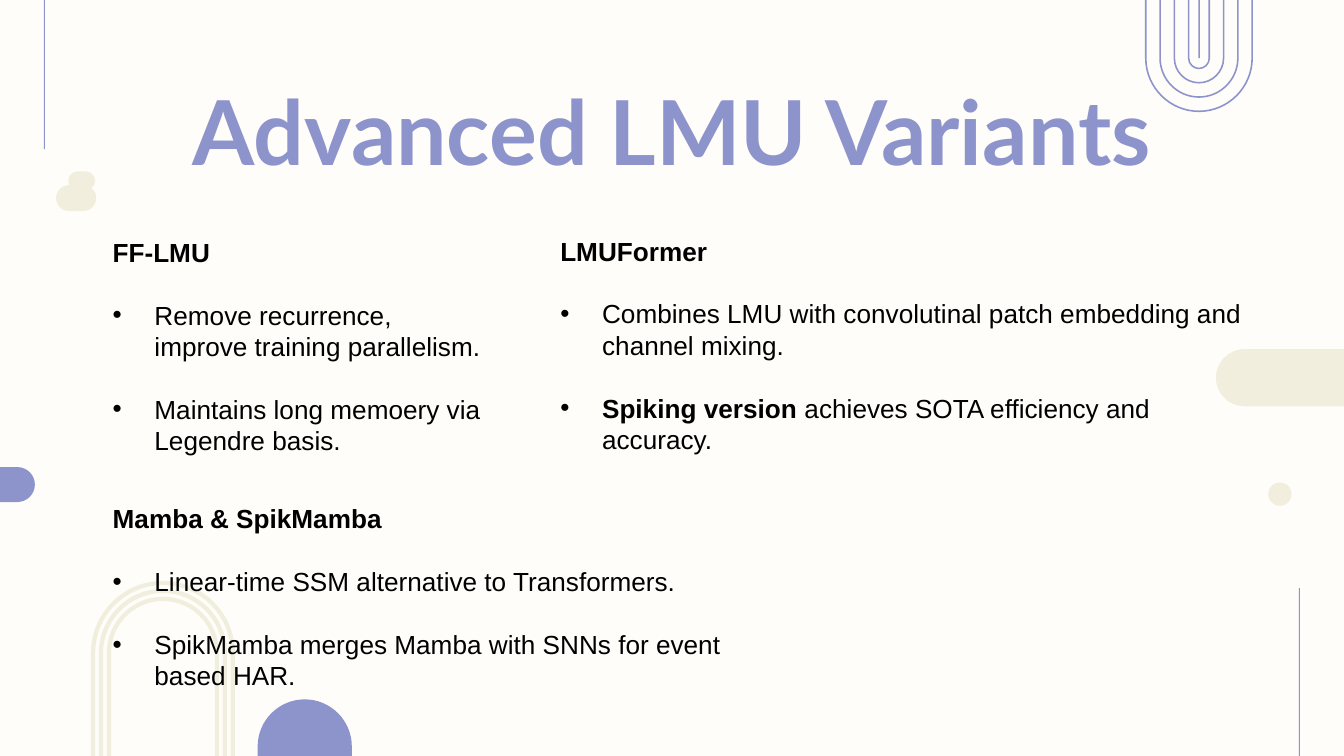
from dataclasses import dataclass
from math import cos, radians, sin

from lxml.etree import SubElement
from pptx import Presentation
from pptx.dml.color import RGBColor
from pptx.enum.shapes import MSO_SHAPE
from pptx.enum.text import MSO_ANCHOR, PP_ALIGN
from pptx.oxml.ns import qn
from pptx.util import Cm, Pt

BACKGROUND, PURPLE, BEIGE, BLACK = "FFFDF9", "8D94CC", "F1EEDD", "000000"
CIRCLE_HANDLE = 0.55  # Bezier handle length of a quarter circle
CURVE_STARTS = (1, 4, 10, 13)  # segments of an arch outline that begin a curve


@dataclass
class Arch:
    """A half circle with straight legs, solid when it has no inner radius."""
    x: float
    y: float
    radius: float
    leg: float
    color: str
    inner: float = 0
    turn: float = 0  # clockwise degrees, 0 points up


@dataclass
class Preset:
    kind: MSO_SHAPE
    left: float
    top: float
    width: float
    height: float
    color: str


@dataclass
class Topic:
    left: float
    top: float
    width: float
    height: float
    heading: str
    bullets: list[list[tuple[str, bool]]]  # runs of text and bold


def color_of(value: str) -> RGBColor:
    return RGBColor.from_string(value)


def paint(shape, color: str) -> None:
    shape.shadow.inherit = False
    shape.fill.solid()
    shape.fill.fore_color.rgb = color_of(color)
    shape.line.fill.background()


def half_outline(radius: float, leg: float) -> list[tuple[float, float]]:
    handle = CIRCLE_HANDLE * radius
    left = [(-radius, leg), (-radius, 0), (-radius, -handle), (-handle, -radius)]
    right = [(-x, y) for x, y in reversed(left)]
    return [*left, (0, -radius), *right]


def bend_segments(shape) -> None:
    """Join each three line segments of a quarter circle into one curve."""
    segments = list(shape._element.iter(qn("a:lnTo")))
    for start in CURVE_STARTS:
        if start + 2 < len(segments):
            curve = segments[start].makeelement(qn("a:cubicBezTo"))
            segments[start].addprevious(curve)
            for segment in segments[start:start + 3]:
                curve.append(segment[0])
                segment.getparent().remove(segment)


def draw_arch(slide, arch: Arch) -> None:
    outline = half_outline(arch.radius, arch.leg)
    if arch.inner:
        outline += reversed(half_outline(arch.inner, arch.leg))
    turn = radians(arch.turn)
    points = [(Cm(arch.x + x * cos(turn) - y * sin(turn)),
               Cm(arch.y + x * sin(turn) + y * cos(turn))) for x, y in outline]
    builder = slide.shapes.build_freeform(*points[0])
    builder.add_line_segments(points[1:], close=True)
    shape = builder.convert_to_shape()
    bend_segments(shape)
    paint(shape, arch.color)


def draw_preset(slide, preset: Preset) -> None:
    shape = slide.shapes.add_shape(preset.kind, Cm(preset.left), Cm(preset.top),
                                   Cm(preset.width), Cm(preset.height))
    if preset.kind == MSO_SHAPE.ROUNDED_RECTANGLE:
        shape.adjustments[0] = 0.5
    paint(shape, preset.color)


def add_text_frame(slide, left: float, top: float, width: float, height: float):
    box = slide.shapes.add_textbox(Cm(left), Cm(top), Cm(width), Cm(height))
    box.text_frame.word_wrap = True
    return box.text_frame


def add_bullet(paragraph) -> None:
    properties = paragraph._p.get_or_add_pPr()
    properties.set("marL", str(Cm(0.79)))
    properties.set("indent", str(-Cm(0.79)))
    SubElement(properties, qn("a:buFont"), typeface="Arial")
    SubElement(properties, qn("a:buChar"), char="•")


def set_font(paragraph, name: str, size: float, color: str) -> None:
    paragraph.font.name = name
    paragraph.font.size = Pt(size)
    paragraph.font.color.rgb = color_of(color)


def draw_topic(slide, topic: Topic) -> None:
    frame = add_text_frame(slide, topic.left, topic.top, topic.width, topic.height)
    heading = frame.paragraphs[0]
    heading.text = topic.heading
    set_font(heading, "Arial", 14, BLACK)
    heading.font.bold = True
    for runs in topic.bullets:
        paragraph = frame.add_paragraph()
        paragraph.space_before = Pt(16.8)
        add_bullet(paragraph)
        set_font(paragraph, "Arial", 14, BLACK)
        for text, bold in runs:
            run = paragraph.add_run()
            run.text = text
            run.font.bold = bold


ARCHES = [
    # Solid tabs on the slide edges
    Arch(0.33, 9.16, 0.33, 0.33, PURPLE, turn=90),
    Arch(23.52, 7.14, 0.54, 1.88, BEIGE, turn=-90),
    Arch(5.76, 14.11, 0.89, 0.18, PURPLE),
    # Thin nested arches hanging from the top
    *[Arch(22.66, 1.1, radius, 1.1, PURPLE, radius - 0.03, 180)
      for radius in (1.02, 0.75, 0.48, 0.21)],
    # Thick nested arches at the bottom
    *[Arch(3.08, 12.34, radius, 1.95, BEIGE, radius - 0.08)
      for radius in (1.36, 1.21, 1.06)],
]

PRESETS = [
    # Thin vertical lines
    Preset(MSO_SHAPE.RECTANGLE, 24.55, 11.12, 0.02, 3.17, PURPLE),
    Preset(MSO_SHAPE.RECTANGLE, 0.83, 0, 0.02, 2.82, PURPLE),
    Preset(MSO_SHAPE.RECTANGLE, 22.65, 0, 0.03, 1.1, PURPLE),
    # Dot and cloud
    Preset(MSO_SHAPE.OVAL, 23.97, 9.12, 0.44, 0.44, BEIGE),
    Preset(MSO_SHAPE.ROUNDED_RECTANGLE, 1.29, 3.24, 0.51, 0.35, BEIGE),
    Preset(MSO_SHAPE.ROUNDED_RECTANGLE, 1.06, 3.5, 0.76, 0.49, BEIGE),
]

TOPICS = [
    Topic(1.88, 4.34, 7.48, 5.05, "FF-LMU", [
        [("Remove recurrence, improve training parallelism.", False)],
        [("Maintains long memoery via Legendre basis.", False)]]),
    Topic(10.34, 4.32, 13.51, 4.45, "LMUFormer", [
        [("Combines LMU with convolutinal patch embedding and channel mixing.", False)],
        [("Spiking version", True), (" achieves SOTA efficiency and accuracy.", False)]]),
    Topic(1.88, 9.38, 12.09, 3.84, "Mamba & SpikMamba", [
        [("Linear-time SSM alternative to Transformers.", False)],
        [("SpikMamba merges Mamba with SNNs for event based HAR.", False)]]),
]


def main() -> None:
    presentation = Presentation()
    presentation.slide_width, presentation.slide_height = Cm(25.4), Cm(14.29)
    slide = presentation.slides.add_slide(presentation.slide_layouts[6])
    slide.background.fill.solid()
    slide.background.fill.fore_color.rgb = color_of(BACKGROUND)

    # Decoration
    for arch in ARCHES:
        draw_arch(slide, arch)
    for preset in PRESETS:
        draw_preset(slide, preset)

    # Title
    frame = add_text_frame(slide, 2.87, 1.22, 19.66, 2.46)
    frame.vertical_anchor = MSO_ANCHOR.MIDDLE
    frame.margin_top = frame.margin_bottom = Cm(0.25)
    title = frame.paragraphs[0]
    title.text = "Advanced LMU Variants"
    title.alignment = PP_ALIGN.CENTER
    set_font(title, "Lato", 48, PURPLE)
    title.font.bold = True

    # Topics
    for topic in TOPICS:
        draw_topic(slide, topic)

    presentation.save("out.pptx")


if __name__ == "__main__":
    main()
